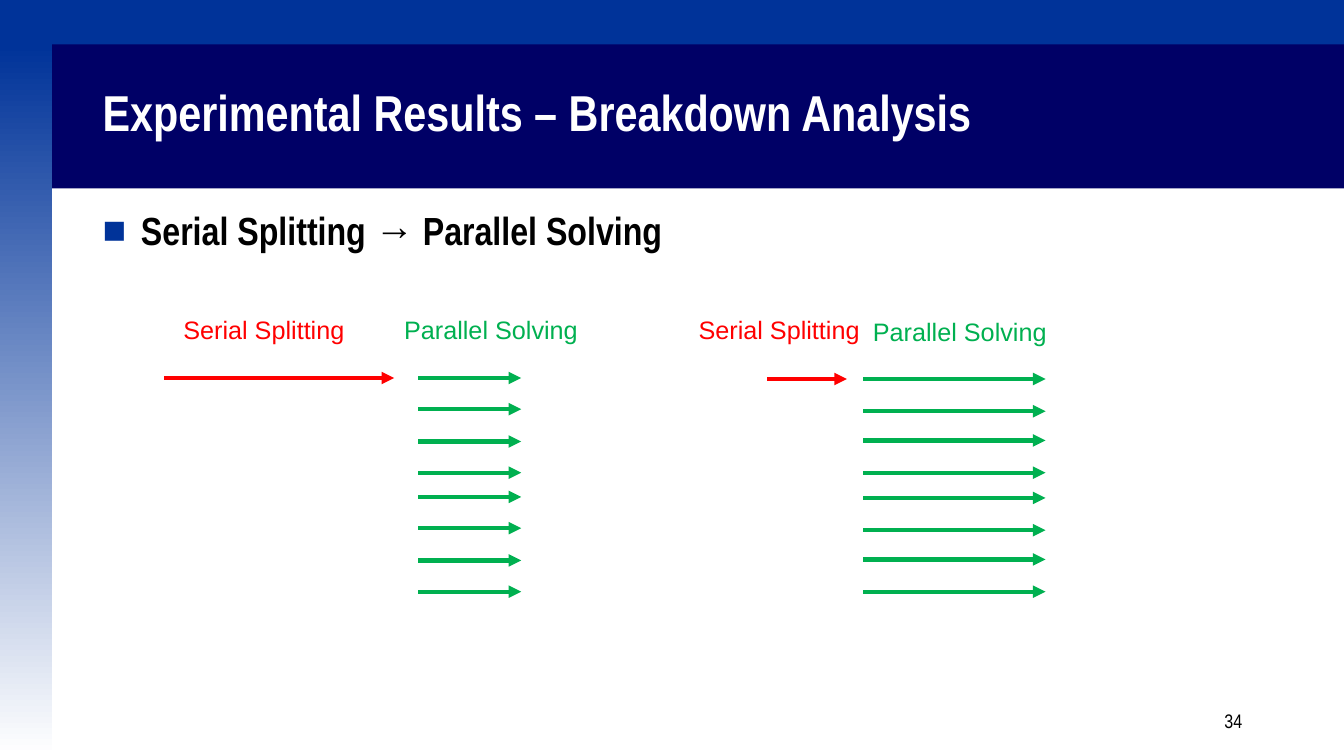
from lxml import etree
from pptx import Presentation
from pptx import util as u
from pptx.dml.color import RGBColor
from pptx.enum import shapes, text
from pptx.oxml import ns

HUES = {"navy": "000066", "blue": "003399", "white": "FFFFFF",
        "black": "000000", "red": "FF0000", "green": "00B050"}
FONTS = {
    "title": {"name": "Arial Narrow", "size": u.Pt(36), "bold": True},
    "body": {"name": "Arial Narrow", "size": u.Pt(28), "bold": True},
    "page": {"name": "Arial Narrow", "size": u.Pt(14)},
    "label": {"name": "Arial", "size": u.Pt(18)},
}
MIDDLE = {"vertical_anchor": text.MSO_ANCHOR.MIDDLE}
FIT = {"word_wrap": False, "auto_size": text.MSO_AUTO_SIZE.SHAPE_TO_FIT_TEXT}


def px(*sizes):
    return [u.Emu(size * 9144) for size in sizes]


def rgb(hue):
    return RGBColor.from_string(HUES[hue])


def put(item, values):
    for key, value in values.items():
        setattr(item, key, value)


def add(parent, tag, **values):
    return etree.SubElement(parent, ns.qn(tag), values)


class Deck:
    def __init__(self, wide, high):
        self.show = Presentation()
        self.show.slide_width, self.show.slide_height = px(wide, high)
        self.slide = self.show.slides.add_slide(self.show.slide_layouts[6])

    def bar(self, area, hue, fade=None):
        box = self.slide.shapes.add_shape(shapes.MSO_SHAPE.RECTANGLE, *px(*area))
        box.shadow.inherit = False
        box.line.fill.background()
        if fade:
            box.fill.gradient()
            box.fill.gradient_angle = 270
            for stop, place, tone in zip(box.fill.gradient_stops, (0.06, 1), (hue, fade)):
                stop.position = place
                stop.color.rgb = rgb(tone)
        else:
            box.fill.solid()
            box.fill.fore_color.rgb = rgb(hue)

    def label(self, area, words, font, hue, frame, para=None, bullet=None):
        box = self.slide.shapes.add_textbox(*px(*area)).text_frame
        put(box, {"word_wrap": True} | frame)
        line = box.paragraphs[0]
        put(line, para or {})
        if bullet:
            props = line._p.get_or_add_pPr()
            indent = px(38)[0]
            props.set("marL", str(indent))
            props.set("indent", str(-indent))
            add(add(props, "a:buClr"), "a:srgbClr", val=HUES[bullet])
            add(props, "a:buFont", typeface="Arial")
            add(props, "a:buChar", char="■")
        run = line.add_run()
        run.text = words
        put(run.font, FONTS[font])
        run.font.color.rgb = rgb(hue)

    def arrow(self, left, right, y, hue):
        link = self.slide.shapes.add_connector(
            shapes.MSO_CONNECTOR.STRAIGHT, *px(left, y, right, y))
        link.line.width = u.Pt(3)
        link.line.color.rgb = rgb(hue)
        add(link.line._get_or_add_ln(), "a:tailEnd", type="triangle")
        add(link._element.spPr, "a:effectLst")


def main():
    deck = Deck(1333, 750)
    deck.bar((0, 0, 1333, 79), "blue")
    deck.bar((0, 44, 1333, 143), "navy")
    deck.bar((0, 0, 52, 750), "blue", "white")
    deck.label((92, 44, 1150, 141), "Experimental Results – Breakdown Analysis",
               "title", "white", MIDDLE, {"line_spacing": 0.9})
    deck.label((92, 200, 1150, 476), "Serial Splitting → Parallel Solving",
               "body", "black", {}, bullet="blue")
    deck.label((942, 695, 300, 40), "34", "page", "black", MIDDLE,
               {"alignment": text.PP_ALIGN.RIGHT})

    plans = [
        (375, (163, 391), (415, 517), (0, 31, 63, 94), (172, 307), (391, 307)),
        (376, (761, 840), (856, 1037), (0, 32, 61, 93), (683, 307), (856, 309)),
    ]
    for top, split, solve, steps, first, second in plans:
        deck.arrow(*split, top, "red")
        for group in range(2):
            for step in steps:
                deck.arrow(*solve, top + group * 118 + step, "green")
        deck.label((*second, 194, 40), "Parallel Solving", "label", "green", FIT)
        deck.label((*first, 181, 40), "Serial Splitting", "label", "red", FIT)
    deck.show.save("out.pptx")


if __name__ == "__main__":
    main()
